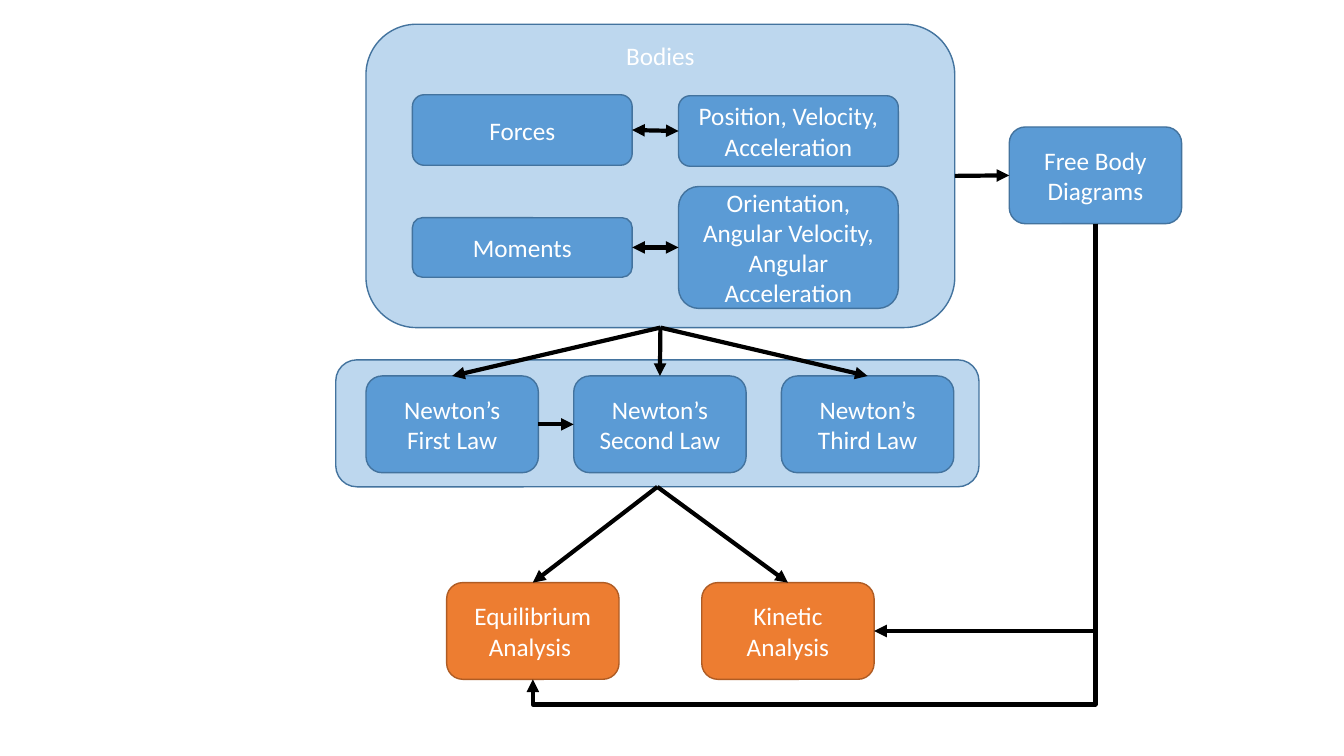
"""Build a slide that maps bodies, Newton's laws and analysis types."""
from lxml import etree
from pptx import Presentation, util as u
from pptx.dml.color import RGBColor
from pptx.enum import shapes, text
from pptx.oxml import ns

SIZE = (13.33, 7.5)
TONES = {"pale": ("BDD7EE", "43739E"), "blue": ("5B9BD5", "43739E"),
         "orange": ("ED7D31", "AF5C24")}
FONT = {"name": "Calibri", "size": u.Pt(18)}
WIDE, UNIT = 2.18, (1.71, 0.96)
LEFT, RIGHT = 4.09, 6.73
LAW_X, LAW_Y, STEP = 3.63, 3.73, 2.06
END_Y = 5.78

BOXES = {
    "laws": ("", "pale", 3.33, 3.57, 6.38, 1.26),
    "bodies": ("Bodies", "pale", 3.63, 0.24, 5.84, 3.01),
    "forces": ("Forces", "blue", LEFT, 0.94, WIDE, 0.7),
    "place": ("Position, Velocity, Acceleration", "blue", RIGHT, 0.95, WIDE, 0.7),
    "moments": ("Moments", "blue", LEFT, 2.16, WIDE, 0.59),
    "turn": ("Orientation, Angular Velocity, Angular Acceleration", "blue",
             RIGHT, 1.85, WIDE, 1.21),
    "free": ("Free Body Diagrams", "blue", 10.01, 1.26, *UNIT),
    "equal": ("Equilibrium Analysis ", "orange", 4.43, END_Y, *UNIT),
    "motion": ("Kinetic Analysis", "orange", 6.96, END_Y, *UNIT),
}
for i, word in enumerate(("First", "Second", "Third")):
    BOXES[word] = (f"Newton’s {word} Law", "blue", LAW_X + i * STEP, LAW_Y, *UNIT)

TOP, WEST, BASE, EAST = range(4)
BOTH, END = ("headEnd", "tailEnd"), ("tailEnd",)
LINKS = [
    ("bodies", BASE, "First", TOP, END),
    ("bodies", BASE, "Second", TOP, END),
    ("bodies", BASE, "Third", TOP, END),
    ("bodies", EAST, "free", WEST, END),
    ("laws", BASE, "equal", TOP, END),
    ("laws", BASE, "motion", TOP, END),
    ("First", EAST, "Second", WEST, END),
    ("forces", EAST, "place", WEST, BOTH),
    ("moments", EAST, "turn", WEST, BOTH),
]
BENDS = [
    ("free", BASE, "motion", EAST, "bentConnector2", None),
    ("free", BASE, "equal", BASE, "bentConnector3", 105500),
]


def tint(code):
    return RGBColor.from_string(code)


def apply(obj, vals):
    for key, val in vals.items():
        setattr(obj, key, val)


def add_box(slide, label, tone, *rect):
    box = slide.shapes.add_shape(shapes.MSO_SHAPE.ROUNDED_RECTANGLE,
                                 *map(u.Inches, rect))
    fill, edge = TONES[tone]
    box.shadow.inherit = False
    box.fill.solid()
    box.fill.fore_color.rgb = tint(fill)
    box.line.color.rgb = tint(edge)
    box.line.width = u.Pt(1)
    if label:
        para = box.text_frame.paragraphs[0]
        para.alignment = text.PP_ALIGN.CENTER
        run = para.add_run()
        run.text = label
        apply(run.font, FONT)
        run.font.color.rgb = tint("FFFFFF")
    return box


def add_link(slide, kind, start, out, stop, into, heads):
    link = slide.shapes.add_connector(kind, 0, 0, 0, 0)
    link.begin_connect(start, out)
    link.end_connect(stop, into)
    link.line.color.rgb = tint("000000")
    link.line.width = u.Pt(3)
    props = link._element.spPr
    for head in heads:
        etree.SubElement(props.find(ns.qn("a:ln")), ns.qn("a:" + head), type="triangle")
    etree.SubElement(props, ns.qn("a:effectLst"))
    return link


def bend(link, form, shift):
    wide, high = link.width, link.height
    mid_x, mid_y = link.left + wide // 2, link.top + high // 2
    apply(link, {"left": mid_x - high // 2, "top": mid_y - wide // 2,
                 "width": high, "height": wide})
    props = link._element.spPr
    frame = props.find(ns.qn("a:xfrm"))
    for flip in ("flipH", "flipV"):
        frame.attrib.pop(flip, None)
    frame.set("rot", "5400000")
    geom = props.find(ns.qn("a:prstGeom"))
    geom.set("prst", form)
    if shift:
        etree.SubElement(geom.find(ns.qn("a:avLst")), ns.qn("a:gd"),
                         name="adj1", fmla=f"val {shift}")


def main():
    deck = Presentation()
    apply(deck, dict(zip(("slide_width", "slide_height"), map(u.Inches, SIZE))))
    slide = deck.slides.add_slide(deck.slide_layouts[6])
    box = {name: add_box(slide, *data) for name, data in BOXES.items()}
    apply(box["bodies"].text_frame, {"vertical_anchor": text.MSO_ANCHOR.TOP,
                                     "margin_top": u.Inches(0.01)})
    kinds = shapes.MSO_CONNECTOR
    for start, out, stop, into, heads in LINKS:
        add_link(slide, kinds.STRAIGHT, box[start], out, box[stop], into, heads)
    for start, out, stop, into, form, shift in BENDS:
        link = add_link(slide, kinds.ELBOW, box[start], out, box[stop], into, END)
        bend(link, form, shift)
    deck.save("out.pptx")


if __name__ == "__main__":
    main()
